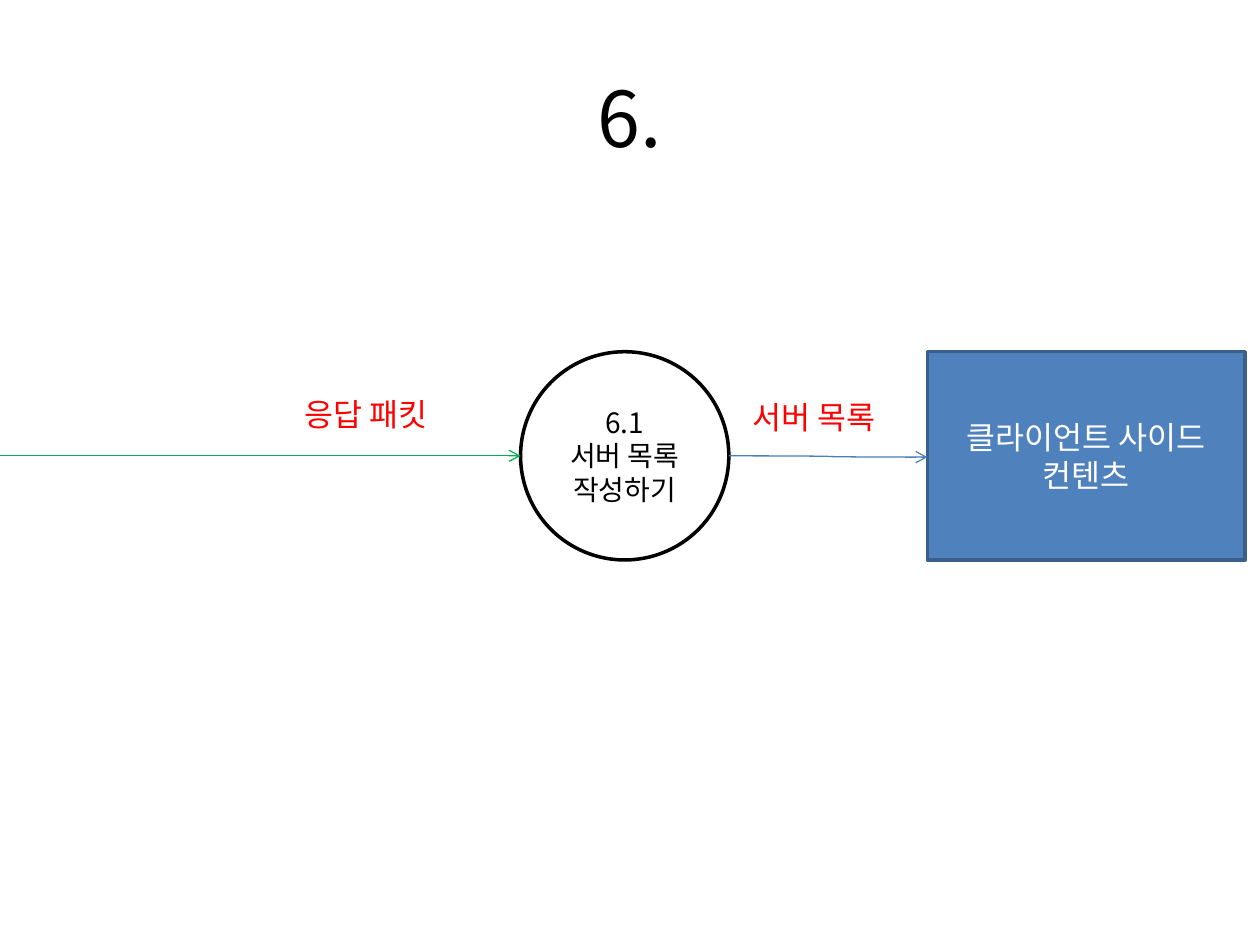
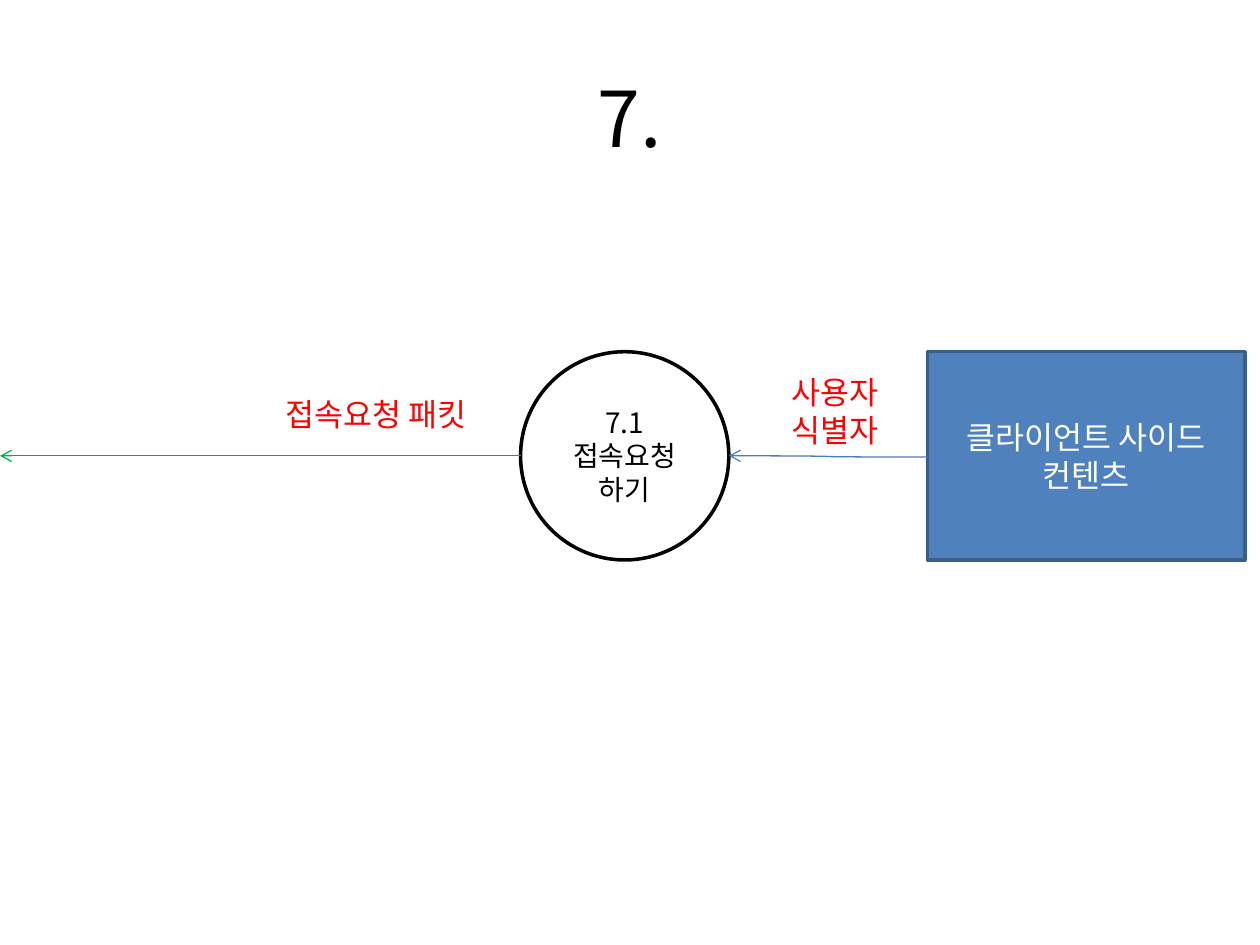
from lxml.etree import SubElement
from pptx import Presentation
from pptx.dml.color import RGBColor
from pptx.enum.shapes import MSO_CONNECTOR, MSO_SHAPE
from pptx.enum.text import MSO_ANCHOR, MSO_AUTO_SIZE, PP_ALIGN
from pptx.oxml.ns import qn
from pptx.util import Pt

# Shared colours and geometry, in points
BLACK, WHITE, RED, GREEN = "000000", "FFFFFF", "FF0000", "00B050"
BLUE, DARK_BLUE, FLOW_BLUE = "4F81BD", "3A5F8C", "4B7EBC"
TOP, DIAMETER = 201, 119
CIRCLE_LEFT, CLIENT_LEFT, CLIENT_WIDTH = 297.5, 530, 181.5
AXIS = TOP + DIAMETER / 2
CIRCLE_RIGHT = CIRCLE_LEFT + DIAMETER
CLIENT_AXIS = AXIS + 0.75


def color(hex_value):
    return RGBColor.from_string(hex_value)


def apply(target, values):
    for name, value in values.items():
        setattr(target, name, value)


class FlowDeck:
    font_name = "Noto Sans CJK KR"

    def __init__(self):
        self.deck = Presentation()
        apply(self.deck, {"slide_width": Pt(720), "slide_height": Pt(540)})
        self.slide = None

    def new_slide(self):
        self.slide = self.deck.slides.add_slide(self.deck.slide_layouts[6])

    def fill_text(self, shape, lines, size, hex_value, align, frame_format):
        frame = shape.text_frame
        apply(frame, {"word_wrap": True, **frame_format})
        frame.text = "\n".join(lines)
        for paragraph in frame.paragraphs:
            paragraph.alignment = align
            for run in paragraph.runs:
                apply(run.font, {"size": Pt(size), "name": self.font_name})
                run.font.color.rgb = color(hex_value)
                east_asian = SubElement(run.font._element, qn("a:ea"))
                east_asian.set("typeface", self.font_name)

    def title(self, text):
        box = self.slide.shapes.add_textbox(Pt(36), Pt(21.6), Pt(648), Pt(90))
        self.fill_text(box, [text], 44, BLACK, PP_ALIGN.CENTER,
                       {"vertical_anchor": MSO_ANCHOR.MIDDLE})

    def label(self, lines, left, top, width, height):
        box = self.slide.shapes.add_textbox(
            Pt(left), Pt(top), Pt(width), Pt(height))
        self.fill_text(box, lines, 18, RED, PP_ALIGN.LEFT,
                       {"auto_size": MSO_AUTO_SIZE.SHAPE_TO_FIT_TEXT})

    def node(self, preset, lines, left, width, fill, outline, size, ink, inset):
        node = self.slide.shapes.add_shape(
            preset, Pt(left), Pt(TOP), Pt(width), Pt(DIAMETER))
        node.shadow.inherit = False
        node.fill.solid()
        node.fill.fore_color.rgb = color(fill)
        node.line.color.rgb = color(outline)
        node.line.width = Pt(2)
        margins = {f"margin_{side}": Pt(inset)
                   for side in ("left", "right", "top", "bottom")}
        self.fill_text(node, lines, size, ink, PP_ALIGN.CENTER,
                       {"vertical_anchor": MSO_ANCHOR.MIDDLE, **margins})

    def process(self, lines):
        self.node(MSO_SHAPE.OVAL, lines, CIRCLE_LEFT, DIAMETER,
                  WHITE, BLACK, 16, BLACK, 2.88)

    def client(self):
        self.node(MSO_SHAPE.RECTANGLE, ["클라이언트 사이드", "컨텐츠"],
                  CLIENT_LEFT, CLIENT_WIDTH, BLUE, DARK_BLUE, 18, WHITE, 3.6)

    def arrow(self, kind, start, end, hex_value):
        arrow = self.slide.shapes.add_connector(
            kind, *(Pt(value) for value in (*start, *end)))
        arrow.line.color.rgb = color(hex_value)
        arrow.line.width = Pt(0.75)
        properties = arrow._element.spPr
        outline = properties.find(qn("a:ln"))
        SubElement(outline, qn("a:tailEnd")).set("type", "arrow")
        SubElement(properties, qn("a:effectLst"))

    def flow(self, inbound):
        client_link = [(CIRCLE_RIGHT, AXIS), (CLIENT_LEFT, CLIENT_AXIS)]
        packet_link = [(0, AXIS), (CIRCLE_LEFT, AXIS)]
        step = 1 if inbound else -1
        self.arrow(MSO_CONNECTOR.CURVE, *client_link[::step], FLOW_BLUE)
        self.arrow(MSO_CONNECTOR.STRAIGHT, *packet_link[::step], GREEN)


# Each slide: title, process, direction, then labels with left, top, width, height
SLIDES = [
    ("6.", ["6.1", "서버 목록", "작성하기"], True,
     [(["응답 패킷"], 167, 222, 108, 29),
      (["서버 목록"], 423, 224, 108, 29)]),
    ("7.", ["7.1", "접속요청", "하기"], False,
     [(["접속요청 패킷"], 156, 222, 130.5, 29),
      (["사용자", "식별자"], 445, 209.5, 73.5, 51)]),
]

flow_deck = FlowDeck()
for heading, process_lines, inbound, labels in SLIDES:
    flow_deck.new_slide()
    flow_deck.title(heading)
    flow_deck.process(process_lines)
    flow_deck.client()
    flow_deck.flow(inbound)
    for label in labels:
        flow_deck.label(*label)

flow_deck.deck.save("out.pptx")
